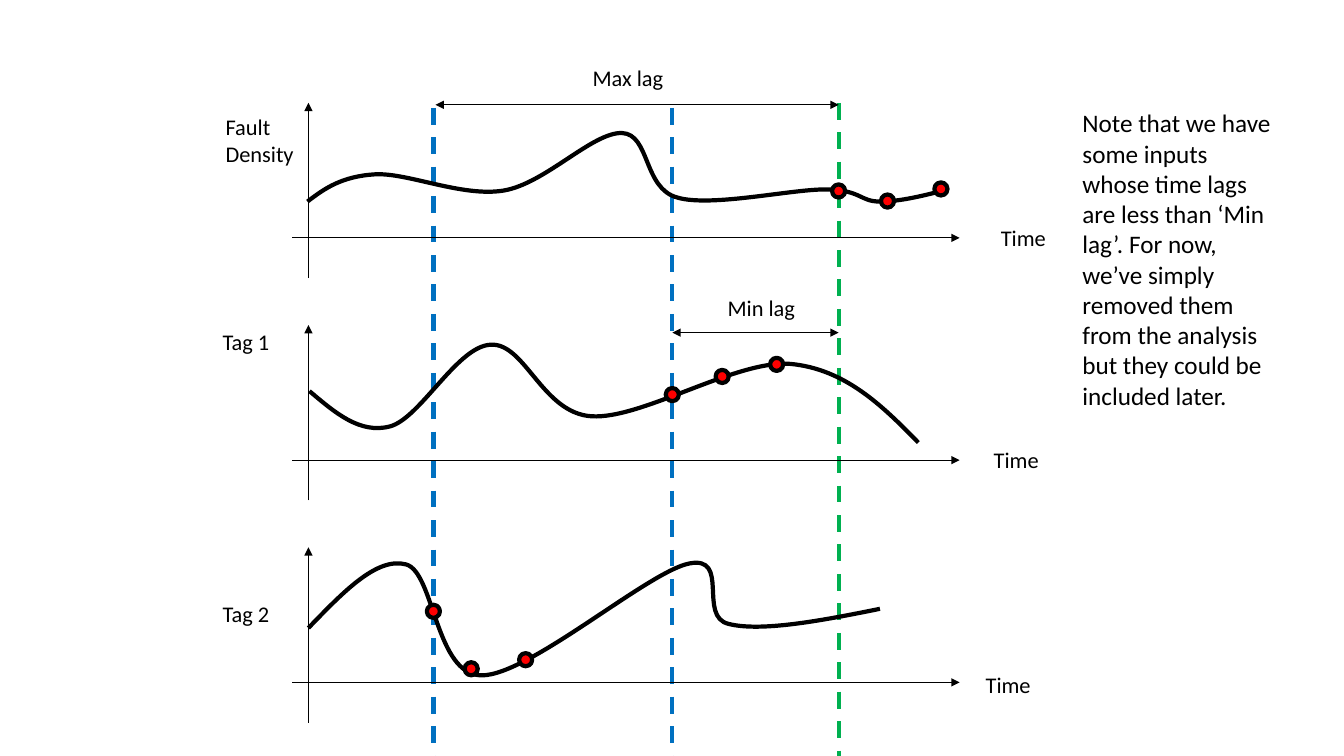
from dataclasses import dataclass

from lxml.etree import SubElement
from pptx import Presentation
from pptx.dml.color import RGBColor
from pptx.enum.dml import MSO_LINE_DASH_STYLE as Dash
from pptx.enum.shapes import MSO_CONNECTOR as Conn, MSO_SHAPE as Shape
from pptx.enum.text import MSO_AUTO_SIZE as AutoSize
from pptx.oxml.ns import qn
from pptx.util import Emu, Inches, Pt

COLORS = {"ink": "000000", "window": "0070C0", "now": "00B050", "dot": "FF0000"}
FONT = "Calibri"
COLS, ROWS = 80, 45
Point = tuple[float, float]

# Grid positions shared by several parts
AXIS_X, AXIS_LEFT, AXIS_RIGHT = 18.36, 17.4, 57.12
FIRST_AXIS_ROW, PANEL_PITCH = 14.16, 13.23
AXIS_ABOVE, AXIS_BELOW = 8.04, 2.4
MAX_X, MIN_X, NOW_X = 25.8, 40.02, 49.92
DOT = 0.78
LABEL_H = 2.22


@dataclass
class Label:
    lines: list[str]
    x: float
    y: float
    w: float
    h: float = LABEL_H
    size: int = 16
    wrap: bool = False


@dataclass
class Panel:
    name: Label
    time: Point
    curve: list[Point]  # start, then two handles and an end per segment
    dots: list[Point]


@dataclass
class Guide:
    x: float
    top: float
    color: str


@dataclass
class Lag:
    start: float
    row: float
    label: Label


PANELS = [
    Panel(
        Label(["Fault", "Density"], 12.84, 6.42, 5.34, 3.84),
        (58.98, 13.02),
        [(18.3, 12),
         (19.32, 11.22), (20.34, 10.5), (22.32, 10.38),
         (24.24, 10.26), (27.54, 11.76), (30, 11.34),
         (32.46, 10.92), (35.28, 7.86), (37.02, 7.92),
         (38.7, 7.98), (38.28, 11.22), (40.32, 11.76),
         (42.36, 12.36), (47.28, 11.22), (49.26, 11.28),
         (51.3, 11.34), (51.18, 12), (52.38, 12),
         (53.58, 12), (55.02, 11.64), (56.4, 11.28)],
        [(NOW_X, 11.37), (52.83, 11.97), (56.01, 11.25)],
    ),
    Panel(
        Label(["Tag 1"], 12.66, 19.26, 4.02),
        (58.56, 26.28),
        [(18.42, 23.28),
         (19.92, 24.54), (21.42, 25.86), (23.22, 25.38),
         (25.02, 24.9), (27.24, 20.58), (29.22, 20.52),
         (31.26, 20.4), (32.28, 24.6), (35.22, 24.78),
         (38.22, 24.96), (43.8, 21.42), (47.04, 21.66),
         (50.28, 21.96), (52.5, 24.12), (54.66, 26.34)],
        [(MIN_X, 23.49), (42.99, 22.41), (46.23, 21.69)],
    ),
    Panel(
        Label(["Tag 2"], 12.66, 35.4, 4.02),
        (58.08, 39.66),
        [(18.36, 37.38),
         (20.4, 35.28), (22.44, 33.12), (24.18, 33.6),
         (25.86, 34.08), (25.92, 40.2), (28.68, 40.2),
         (31.5, 40.2), (38.58, 34.02), (41.04, 33.54),
         (43.5, 33.06), (41.52, 36.72), (43.38, 37.14),
         (45.3, 37.62), (48.84, 36.96), (52.38, 36.24)],
        [(MAX_X, 36.39), (28.05, 39.81), (31.29, 39.27)],
    ),
]
GUIDES = [Guide(MAX_X, 6.42, "window"), Guide(MIN_X, 6.42, "window"),
          Guide(NOW_X, 6.12, "now")]
LAGS = [Lag(25.92, 6.24, Label(["Max lag"], 34.68, 3.54, 5.46)),
        Lag(MIN_X, 19.8, Label(["Min lag"], 42.72, 17.22, 5.28))]
NOTE = Label(
    ["Note that we have some inputs whose time lags are less than ‘Min lag’. "
     "For now, we’ve simply removed them from the analysis but they could be "
     "included later."], 63.84, 6.12, 12.42, 18.78, 18, True)

prs = Presentation()
prs.slide_width, prs.slide_height = Inches(13.33), Inches(7.5)
slide = prs.slides.add_slide(prs.slide_layouts[6])
shapes = slide.shapes


def col(n: float) -> Emu:
    return Emu(round(prs.slide_width * n / COLS))


def row(n: float) -> Emu:
    return Emu(round(prs.slide_height * n / ROWS))


def rgb(name: str) -> RGBColor:
    return RGBColor.from_string(COLORS[name])


def style_line(sp, color: str, width: float) -> None:
    sp.line.color.rgb = rgb(color)
    sp.line.width = Pt(width)


def add_line(start: Point, end: Point, color: str = "ink", width: float = 0.75,
             dashed: bool = False, arrows: tuple[str, ...] = ()) -> None:
    line = shapes.add_connector(Conn.STRAIGHT, col(start[0]), row(start[1]),
                                col(end[0]), row(end[1]))
    style_line(line, color, width)
    if dashed:
        line.line.dash_style = Dash.DASH
    for end_tag in arrows:
        SubElement(line.line._get_or_add_ln(), qn(end_tag), type="triangle")
    SubElement(line._element.spPr, qn("a:effectLst"))


def add_label(label: Label) -> None:
    sp = shapes.add_textbox(col(label.x), row(label.y), col(label.w), row(label.h))
    tf = sp.text_frame
    tf.word_wrap = label.wrap
    tf.auto_size = AutoSize.SHAPE_TO_FIT_TEXT
    for i, text in enumerate(label.lines):
        p = tf.add_paragraph() if i else tf.paragraphs[0]
        r = p.add_run()
        r.text = text
        r.font.name, r.font.size = FONT, Pt(label.size)
        r.font.color.rgb = rgb("ink")


def add_curve(points: list[Point]) -> None:
    pts = [(col(x), row(y)) for x, y in points]
    builder = shapes.build_freeform(*pts[0])
    builder.add_line_segments(pts[1:], close=False)
    sp = builder.convert_to_shape()
    sp.shadow.inherit = False
    sp.fill.background()
    style_line(sp, "ink", 3)
    # Join each three points into one cubic segment
    outline = sp._element.find(".//" + qn("a:path"))
    steps = outline.findall(qn("a:lnTo"))
    for i in range(0, len(steps), 3):
        cubic = SubElement(outline, qn("a:cubicBezTo"))
        for step in steps[i:i + 3]:
            cubic.append(step[0])
            outline.remove(step)


def add_dot(x: float, y: float) -> None:
    sp = shapes.add_shape(Shape.OVAL, col(x - DOT / 2), row(y - DOT / 2),
                          col(DOT), row(DOT))
    sp.shadow.inherit = False
    sp.fill.solid()
    sp.fill.fore_color.rgb = rgb("dot")
    style_line(sp, "ink", 3)


# Dashed time guides
for guide in GUIDES:
    add_line((guide.x, guide.top), (guide.x, ROWS), guide.color, 3, dashed=True)

# Three charts: axes, labels, curve and sampled dots
for i, panel in enumerate(PANELS):
    base = FIRST_AXIS_ROW + i * PANEL_PITCH
    add_line((AXIS_LEFT, base), (AXIS_RIGHT, base), arrows=("a:tailEnd",))
    add_line((AXIS_X, base + AXIS_BELOW), (AXIS_X, base - AXIS_ABOVE),
             arrows=("a:tailEnd",))
    add_label(panel.name)
    add_label(Label(["Time"], *panel.time, 3.9))
    add_curve(panel.curve)
    for dot in panel.dots:
        add_dot(*dot)

# Lag spans and side note
for lag in LAGS:
    add_line((NOW_X, lag.row), (lag.start, lag.row),
             arrows=("a:headEnd", "a:tailEnd"))
    add_label(lag.label)
add_label(NOTE)

prs.save("out.pptx")
